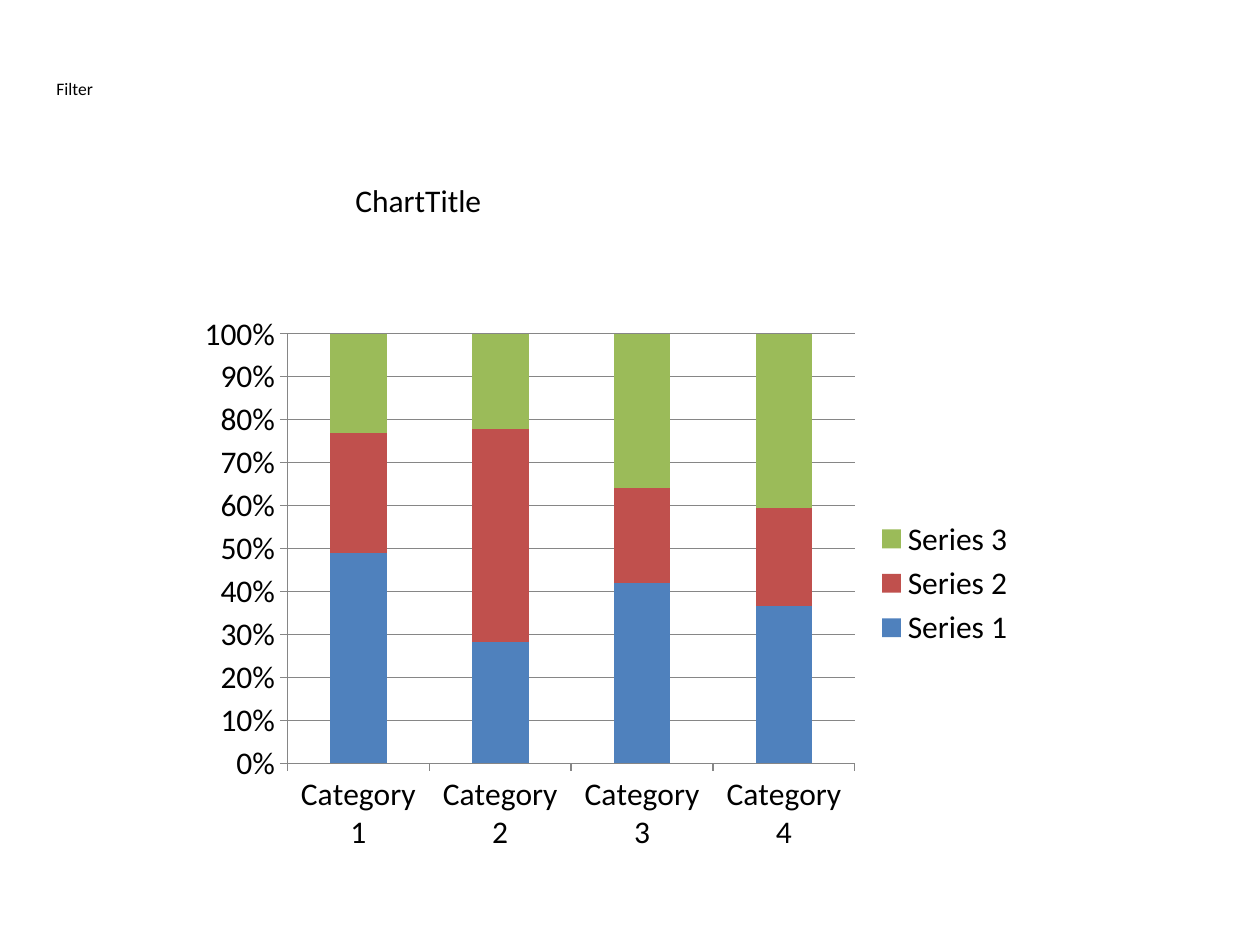
from pptx import Presentation
from pptx.chart.data import CategoryChartData
from pptx.dml.color import RGBColor
from pptx.enum.chart import XL_CHART_TYPE as ChartType
from pptx.enum.chart import XL_LEGEND_POSITION as LegendPosition
from pptx.enum.chart import XL_TICK_MARK as TickMark
from pptx.enum.text import MSO_ANCHOR as Anchor
from pptx.enum.text import MSO_AUTO_SIZE as AutoSize
from pptx.enum.text import PP_ALIGN as Align
from pptx.util import Inches, Pt

FONT = "Calibri"
BLACK = "000000"
AXIS_GREY = "868686"
CATEGORIES = ["Category 1", "Category 2", "Category 3", "Category 4"]
SERIES = [
    ("Series 1", (49, 28, 42, 37), "4F81BD"),
    ("Series 2", (28, 49, 22, 23), "C0504D"),
    ("Series 3", (23, 22, 36, 41), "9BBB59"),
]


def color(value):
    return RGBColor.from_string(value)


def set_font(font, size):
    font.name = FONT
    font.size = Pt(size)
    font.bold = False
    font.color.rgb = color(BLACK)


def write_text(box, text, size, left, top, width, height):
    box.left, box.top = Inches(left), Inches(top)
    box.width, box.height = Inches(width), Inches(height)
    frame = box.text_frame
    frame.text = text
    frame.word_wrap = True
    frame.auto_size = AutoSize.SHAPE_TO_FIT_TEXT
    frame.vertical_anchor = Anchor.TOP
    para = frame.paragraphs[0]
    para.alignment = Align.LEFT
    set_font(para.font, size)


def style_axis(axis):
    axis.major_tick_mark = TickMark.OUTSIDE
    axis.minor_tick_mark = TickMark.NONE
    axis.format.line.color.rgb = color(AXIS_GREY)
    axis.format.line.width = Pt(0.75)


def add_stacked_chart(page, left, top, width, height):
    data = CategoryChartData()
    data.categories = CATEGORIES
    for name, values, fill in SERIES:
        data.add_series(name, values)
    chart = page.shapes.add_chart(
        ChartType.COLUMN_STACKED_100,
        Inches(left), Inches(top), Inches(width), Inches(height), data,
    ).chart
    set_font(chart.font, 18)
    chart.has_title = False
    chart.has_legend = True
    chart.legend.position = LegendPosition.RIGHT
    chart.legend.include_in_layout = False

    plot = chart.plots[0]
    plot.gap_width = 150
    plot.overlap = 100
    plot.vary_by_categories = False
    for series, (name, values, fill) in zip(plot.series, SERIES):
        series.format.fill.solid()
        series.format.fill.fore_color.rgb = color(fill)

    style_axis(chart.category_axis)
    value_axis = chart.value_axis
    style_axis(value_axis)
    value_axis.has_major_gridlines = True
    value_axis.major_gridlines.format.line.color.rgb = color(AXIS_GREY)
    value_axis.major_gridlines.format.line.width = Pt(0.75)
    value_axis.tick_labels.number_format = "0%"
    value_axis.tick_labels.number_format_is_linked = False


def main():
    deck = Presentation()
    deck.slide_width, deck.slide_height = Inches(10), Inches(7.5)
    page = deck.slides.add_slide(deck.slide_layouts[5])
    filter_box = page.shapes.add_textbox(0, 0, 0, 0)
    write_text(filter_box, "Filter", 10, 0.35, 0.57, 8.94, 0.27)
    write_text(page.shapes.title, "ChartTitle", 18, 2.72, 1.39, 3.46, 0.4)
    add_stacked_chart(page, 1.49, 2.41, 6.67, 4.44)
    deck.save("out.pptx")


main()
